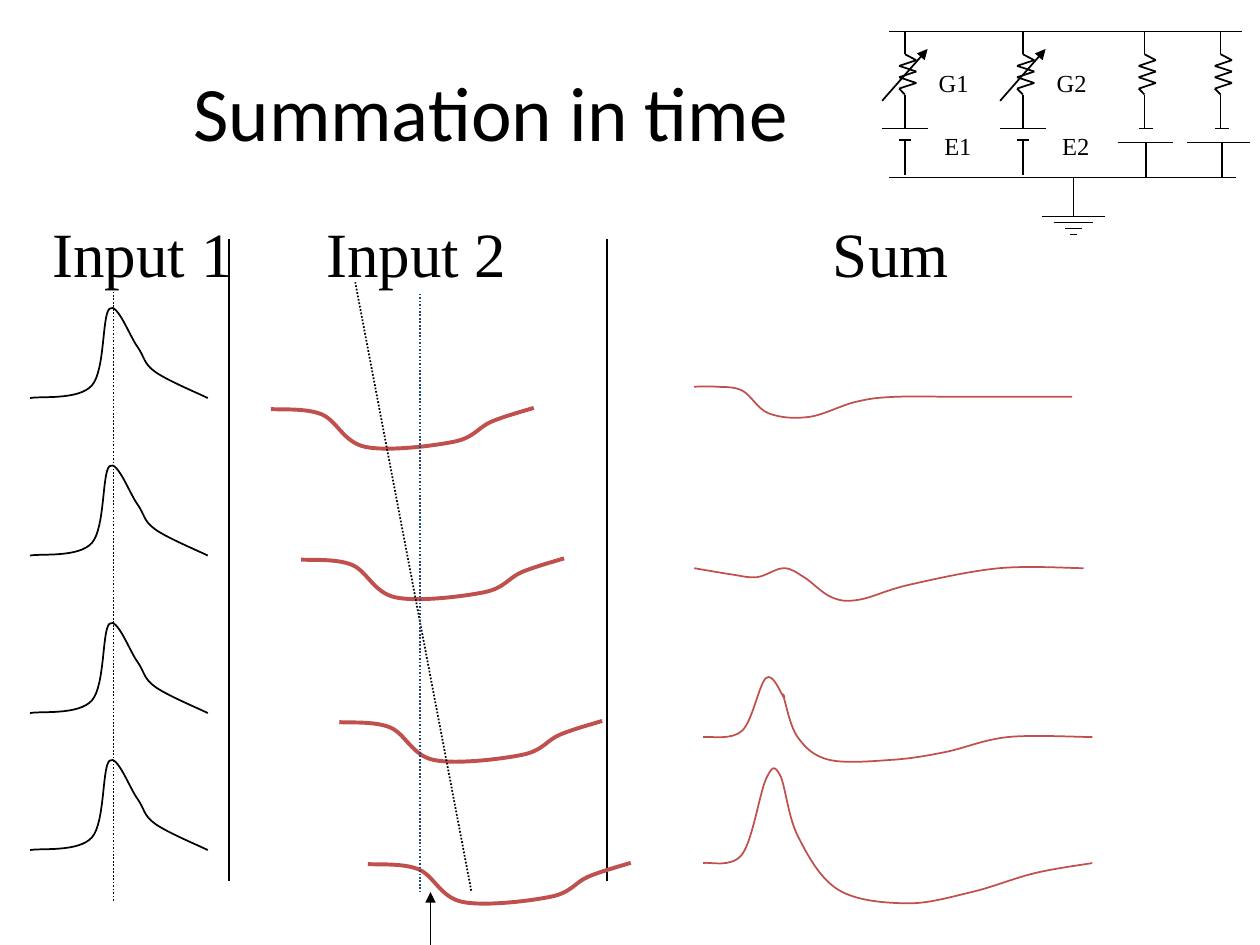
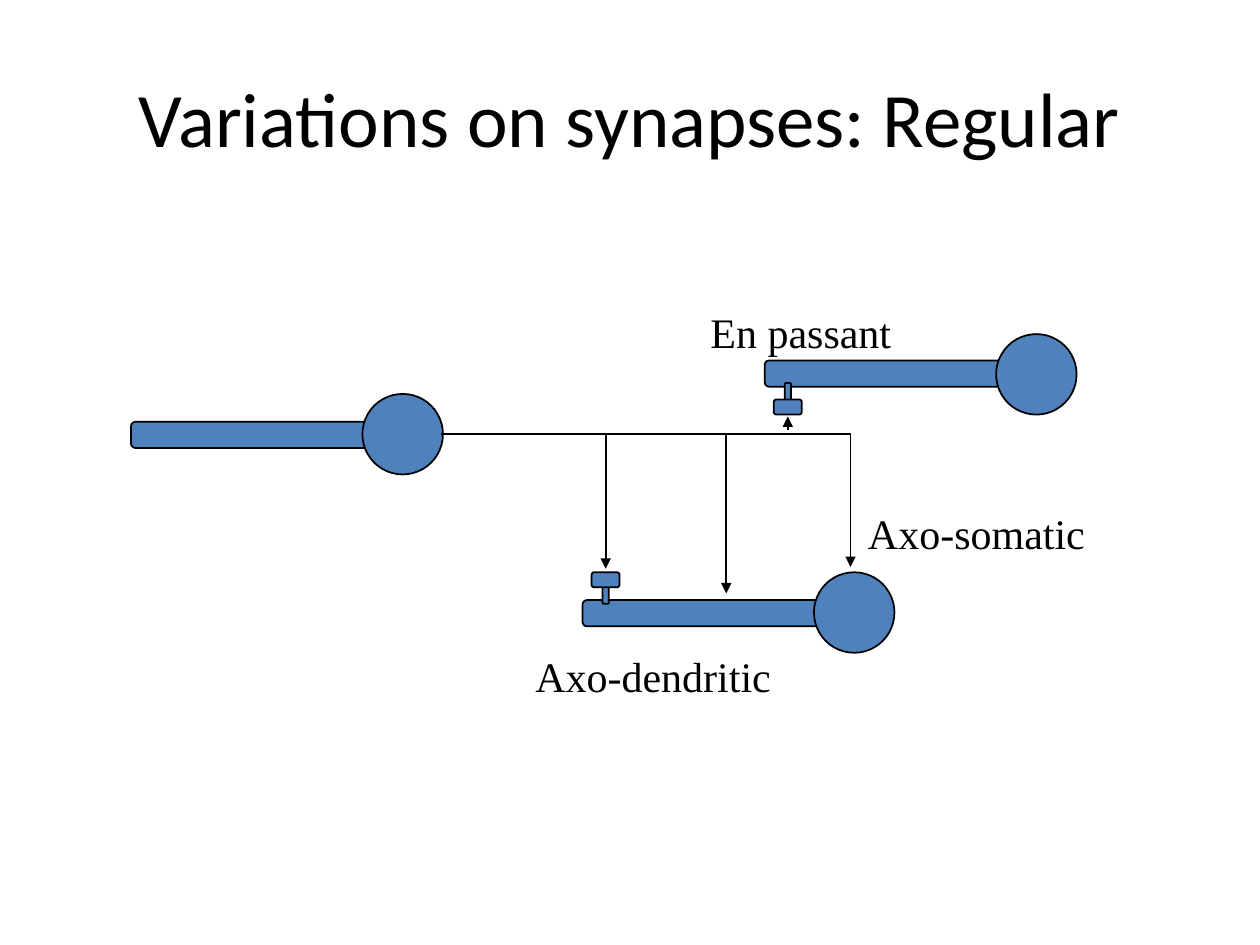
"""Build two slides on summing synaptic inputs and on regular synapses."""
from dataclasses import dataclass

from pptx import Presentation, util as u
from pptx.dml.color import RGBColor
from pptx.enum import dml, shapes, text
from pptx.oxml import ns, xmlchemy

BLACK = RGBColor(0x00, 0x00, 0x00)
RED = RGBColor(0xC0, 0x50, 0x4D)
BLUE = RGBColor(0x4F, 0x81, 0xBD)
NAVY = RGBColor(0x1F, 0x49, 0x7D)
TITLE_FONT = "Calibri"
LABEL_FONT = "Times New Roman"
BAR = shapes.MSO_SHAPE.ROUNDED_RECTANGLE
SOMA = shapes.MSO_SHAPE.OVAL

EXCITATION = [(0, 0), (35.3, -7.2), (45.4, -51.1), (61.2, -29.5),
              (71.3, -15.1), (101.5, 0)]
INHIBITION = [(0, 0), (28.8, 2.9), (54, 21.6), (104.4, 18.7),
              (126, 7.2), (150.2, -0.7)]
INPUT_1_X = 17.2

TOP_RAIL, BOTTOM_RAIL = 18, 101.5
RAIL_LEFT = 508.3
RESISTOR_TOP, RESISTOR_END = 31, 54
TOOTH_COUNT, TOOTH_STEP = 6, 3.25
TOOTH_RIGHT, TOOTH_LEFT = 6.5, -3.3
BATTERY_TOP, INPUT_BATTERY_END, LEAK_BATTERY_END = 73.5, 80, 81.4
GROUND_X, GROUND_Y = 613.4, 123.8

DENDRITE_W, DENDRITE_H = 139, 15
SOMA_SIZE, SOMA_DX, SOMA_DY = 46, 132.2, -15.9
SPINE_DX = 13.2
NECK_W, NECK_H, NECK_DY = 3.6, 10, -7.9
HEAD_W, HEAD_H, HEAD_DY = 16, 8.6, -15.9
AXON_Y = 247.9


@dataclass
class Trial:
    """Where one row's traces start, and the knots of its sum."""
    input_1_y: float
    input_2_start: tuple
    sum_start: tuple
    sum_knots: list


TRIALS = [
    Trial(227.5, (154.8, 233.8), (396.7, 221),
          [(0, 0), (12.3, 0), (27.4, 2.2), (42.5, 15.2), (65.5, 17.3),
           (92.2, 8.7), (114.5, 5.8), (156.3, 5.8), (216, 5.8)]),
    Trial(317.5, (172.1, 319.8), (396.7, 324.7),
          [(0, 0), (21.6, 3.6), (36, 5.1), (51.1, 0), (62.7, 5.1),
           (78.5, 16.6), (94.3, 18), (123.1, 9.4), (174.3, 0), (222.5, 0)]),
    Trial(407.5, (193.9, 412.7), (401.8, 421.2),
          [(0, 0), (22.3, -3.6), (36, -33.8), (46, -23), (46, -23), (54, 0),
           (72, 13), (108, 13), (138.2, 8.6), (174.2, 0), (222.4, 0)]),
    Trial(485.8, (210.2, 493.8), (401.8, 493.2),
          [(0, 0), (22.3, -5), (36, -48.2), (43.9, -50.4), (54, -15.7),
           (77, 15.1), (115.9, 23), (153.3, 16.6), (189.3, 5.8), (222.4, 0)]),
]


def add_run(p, words, size, font):
    """Add one black run of text to a paragraph."""
    r = p.add_run()
    r.text = words
    r.font.size = u.Pt(size)
    r.font.name = font
    r.font.color.rgb = BLACK


def title_slide(prs, words, x, y, w):
    """Add a title-only slide and place its centred title."""
    s = prs.slides.add_slide(prs.slide_layouts[5])
    sp = s.shapes.title
    sp.left, sp.top, sp.width, sp.height = u.Pt(x), u.Pt(y), u.Pt(w), u.Pt(90)
    tf = sp.text_frame
    tf.vertical_anchor = text.MSO_ANCHOR.MIDDLE
    p = tf.paragraphs[0]
    p.alignment = text.PP_ALIGN.CENTER
    add_run(p, words, 44, TITLE_FONT)
    return s


def label(tree, words, x, y, w, size):
    """Add a one-line label whose height follows its text size."""
    sp = tree.add_textbox(u.Pt(x), u.Pt(y), u.Pt(w), u.Pt(size * 1.2 + 7.2))
    tf = sp.text_frame
    tf.word_wrap = False
    tf.auto_size = text.MSO_AUTO_SIZE.SHAPE_TO_FIT_TEXT
    add_run(tf.paragraphs[0], words, size, LABEL_FONT)


def line(tree, start, end, color=BLACK, dotted=False, arrow=False):
    """Draw a thin straight line, dotted or with an arrowhead if asked."""
    x1, y1, x2, y2 = (u.Pt(v) for v in (*start, *end))
    c = tree.add_connector(shapes.MSO_CONNECTOR.STRAIGHT, x1, y1, x2, y2)
    c.line.color.rgb = color
    c.line.width = u.Pt(1)
    if dotted:
        c.line.dash_style = dml.MSO_LINE.ROUND_DOT
    spPr = c.element.spPr
    if arrow:
        tail = xmlchemy.OxmlElement("a:tailEnd")
        tail.set("type", "triangle")
        spPr.find(ns.qn("a:ln")).append(tail)
    spPr.append(xmlchemy.OxmlElement("a:effectLst"))


def vertical(tree, x, top, bottom, **style):
    """Draw a vertical line."""
    line(tree, (x, top), (x, bottom), **style)


def plate(tree, x, y, half):
    """Draw a horizontal line centred on x."""
    line(tree, (x - half, y), (x + half, y))


def smooth_points(knots):
    """Put two controls between knots, a sixth of the neighbours' span away."""
    padded = [knots[0], *knots, knots[-1]]
    pulls = [((x2 - x1) / 6, (y2 - y1) / 6)
             for (x1, y1), (x2, y2) in zip(padded, padded[2:])]
    points = [knots[0]]
    for i in range(len(knots) - 1):
        (x1, y1), (x2, y2) = knots[i:i + 2]
        (dx1, dy1), (dx2, dy2) = pulls[i:i + 2]
        points += [(x1 + dx1, y1 + dy1), (x2 - dx2, y2 - dy2), (x2, y2)]
    return points


def trace(tree, knots, start, color, width=1):
    """Draw a smooth voltage trace through knots measured from its start."""
    x, y = start
    points = [(u.Pt(x + dx), u.Pt(y + dy)) for dx, dy in smooth_points(knots)]
    fb = tree.build_freeform(*points[0])
    fb.add_line_segments(points[1:], close=False)
    sp = fb.convert_to_shape()
    sp.shadow.inherit = False
    sp.fill.background()
    sp.line.color.rgb = color
    sp.line.width = u.Pt(width)
    segments = list(sp.element.iter(ns.qn("a:lnTo")))
    outline = segments[0].getparent()
    for i in range(0, len(segments), 3):
        bezier = xmlchemy.OxmlElement("a:cubicBezTo")
        for segment in segments[i:i + 3]:
            bezier.append(segment[0])
            outline.remove(segment)
        outline.append(bezier)


def resistor(tree, x):
    """Draw a zigzag resistor with leads to the top rail and the battery."""
    vertical(tree, x, TOP_RAIL, RESISTOR_TOP)
    vertical(tree, x, RESISTOR_END, BATTERY_TOP)
    teeth = [(x + (TOOTH_LEFT if i % 2 else TOOTH_RIGHT),
              RESISTOR_TOP + 3.4 + TOOTH_STEP * i) for i in range(TOOTH_COUNT)]
    zigzag = [(x, RESISTOR_TOP), *teeth, (x, RESISTOR_END)]
    for start, end in zip(zigzag, zigzag[1:]):
        line(tree, start, end)


def input_branch(tree, x, number):
    """Draw a variable conductance in series with its battery."""
    resistor(tree, x)
    plate(tree, x, BATTERY_TOP, 13)
    plate(tree, x, INPUT_BATTERY_END, 3.3)
    vertical(tree, x, INPUT_BATTERY_END, BOTTOM_RAIL - 1.5)
    label(tree, f"E{number}", x + 15.4, 71.3, 30.2, 14)
    label(tree, f"G{number}", x + 12.2, 35.3, 31.7, 14)
    line(tree, (x - 13, 57.6), (x + 13, 28), arrow=True)


def leak_branch(tree, x, plate_x, plate_half):
    """Draw a fixed resistor in series with a reversed battery."""
    resistor(tree, x)
    plate(tree, x + 0.7, BATTERY_TOP, 4)
    plate(tree, plate_x, LEAK_BATTERY_END, plate_half)
    vertical(tree, x + 0.7, LEAK_BATTERY_END, BOTTOM_RAIL)


def circuit(tree):
    """Draw two inputs and two leaks between the rails, and the ground."""
    for y, right in ((TOP_RAIL, 709.9), (BOTTOM_RAIL, 706.3)):
        line(tree, (RAIL_LEFT, y), (right, y))
    for number, x in enumerate((517.1, 584.5), start=1):
        input_branch(tree, x, number)
    leak_branch(tree, 654, 654.5, 15.8)
    leak_branch(tree, 697.5, 696.2, 18)
    vertical(tree, GROUND_X, BOTTOM_RAIL, GROUND_Y)
    for i, half in enumerate((18, 11.3, 4.8, 1.8)):
        plate(tree, GROUND_X, GROUND_Y + 3.4 * i, half)


def cell_part(tree, kind, x, y, w, h):
    """Add one blue, black-edged part of a neuron."""
    sp = tree.add_shape(kind, u.Pt(x), u.Pt(y), u.Pt(w), u.Pt(h))
    sp.shadow.inherit = False
    sp.fill.solid()
    sp.fill.fore_color.rgb = BLUE
    sp.line.color.rgb = BLACK
    sp.line.width = u.Pt(1)


def neuron(tree, x, y, spiny=False, mirrored=False):
    """Draw dendrite, soma and perhaps a spine, mirrored top to bottom if asked."""
    parts = [(BAR, 0, 0, DENDRITE_W, DENDRITE_H),
             (SOMA, SOMA_DX, SOMA_DY, SOMA_SIZE, SOMA_SIZE)]
    if spiny:
        parts += [(BAR, SPINE_DX - NECK_W / 2, NECK_DY, NECK_W, NECK_H),
                  (BAR, SPINE_DX - HEAD_W / 2, HEAD_DY, HEAD_W, HEAD_H)]
    for kind, dx, dy, w, h in parts:
        top = DENDRITE_H - dy - h if mirrored else dy
        cell_part(tree, kind, x + dx, y + top, w, h)


def summation_slide(prs):
    """Show how the delay between two inputs shapes their sum."""
    s = title_slide(prs, "Summation in time", 5.8, 18, 549.4)
    tree = s.shapes
    for words, x, w in (("Input 1", 23, 117.4), ("Input 2", 179.3, 117.4),
                        ("Sum", 468.9, 80.6)):
        label(tree, words, x, 118.8, w, 36)
    for divider_x in (131, 347):
        vertical(tree, divider_x, 136.8, 503.3)
    for trial in TRIALS:
        trace(tree, EXCITATION, (INPUT_1_X, trial.input_1_y), BLACK)
        trace(tree, INHIBITION, trial.input_2_start, RED, 2.25)
        trace(tree, trial.sum_knots, trial.sum_start, RED)
    vertical(tree, 64.8, 514.8, 167, dotted=True)
    line(tree, (269.3, 509), (203, 161.3), dotted=True)
    vertical(tree, 240, 167.8, 509.8, color=NAVY, dotted=True)
    vertical(tree, 246, 540, 509.8, arrow=True)
    circuit(tree.add_group_shape().shapes)


def synapse_slide(prs):
    """Show one axon reaching a soma, a dendrite and two spines."""
    s = title_slide(prs, "Variations on synapses: Regular", 36, 21.6, 648)
    tree = s.shapes
    sender, target, passed = (74.9, 241), (332.9, 342.9), (437, 206)
    neuron(tree.add_group_shape().shapes, *sender)
    neuron(tree.add_group_shape().shapes, *target, spiny=True)
    neuron(tree.add_group_shape().shapes, *passed, spiny=True, mirrored=True)
    soma_x, shaft_x, spine_x = 486, 415, target[0] + SPINE_DX
    line(tree, (252, AXON_Y), (soma_x, AXON_Y))
    for x, tip_y in ((soma_x, 324), (shaft_x, 339.1), (spine_x, 325)):
        vertical(tree, x, AXON_Y, tip_y, arrow=True)
    vertical(tree, passed[0] + SPINE_DX, 246, 238, arrow=True)
    for words, x, y, w in (("Axo-dendritic", 298.8, 367.9, 149),
                           ("Axo-somatic", 488.9, 286.6, 138.2),
                           ("En passant", 398.9, 171.4, 118.1)):
        label(tree, words, x, y, w, 24)


def main():
    """Build both slides and save them."""
    prs = Presentation()
    prs.slide_width, prs.slide_height = u.Pt(720), u.Pt(540)
    summation_slide(prs)
    synapse_slide(prs)
    prs.save("out.pptx")


if __name__ == "__main__":
    main()
